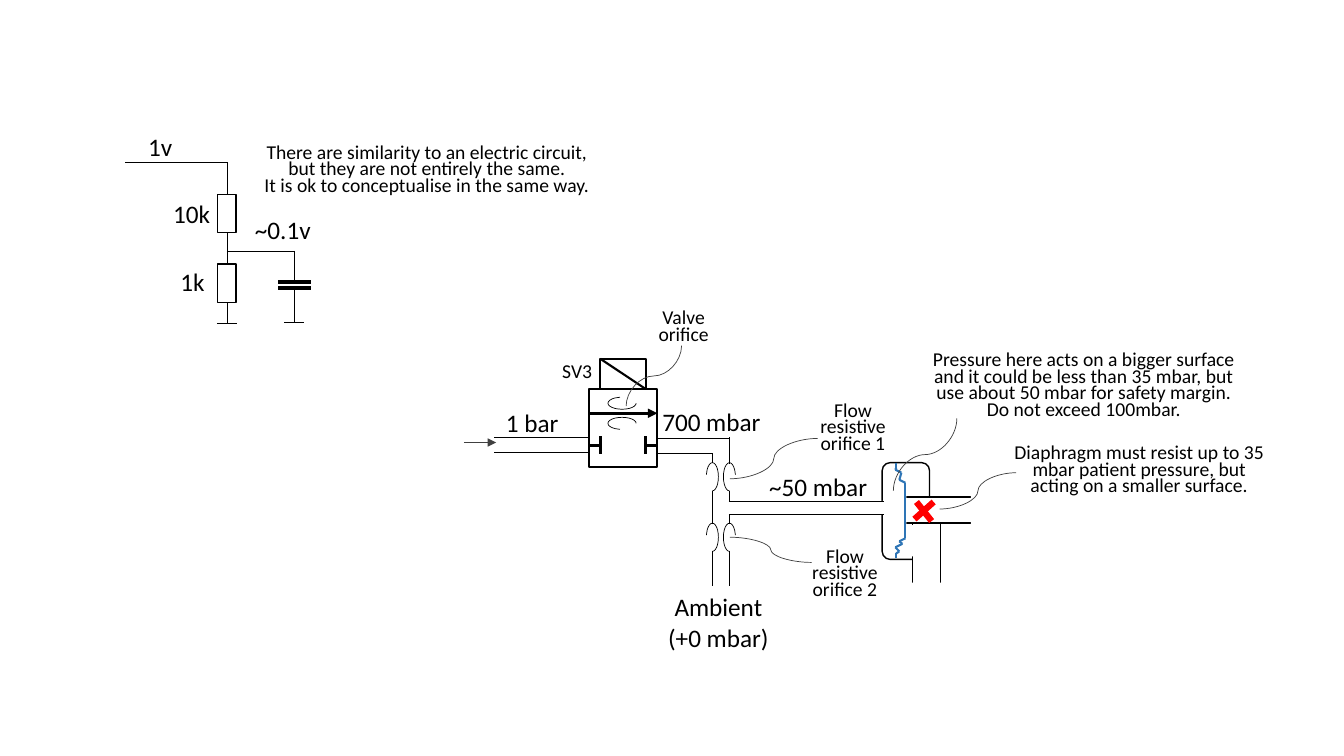
from itertools import pairwise

from lxml import etree
from pptx import Presentation
from pptx import util as u
from pptx.dml.color import RGBColor
from pptx.enum import shapes, text
from pptx.oxml.ns import qn

CELL = 0.1  # inches per grid column and row
BLACK, WHITE, GREY, BLUE, RED = "000000", "FFFFFF", "404040", "2E75B6", "FF0000"
THIN, OUTLINE, MEDIUM, HEAVY = 0.5, 1, 1.5, 2.25


def cells(count):
    """Convert grid cells to a length."""
    return u.Inches(round(count * CELL, 3))


def rgb(code):
    """Turn a hex string into a colour."""
    return RGBColor.from_string(code)


class Region:
    """Area of the slide whose contents are placed from its top left cell."""

    def __init__(self, slide, left, top):
        self.canvas = slide.shapes
        self.left, self.top = left, top

    def place(self, x, y):
        """Give the slide position of a point in the region."""
        return cells(self.left + x), cells(self.top + y)

    def line(self, start, end, width=THIN, color=BLACK, arrow=False,
             kind=shapes.MSO_CONNECTOR.STRAIGHT):
        """Draw a connector, optionally with an arrowhead at its end."""
        link = self.canvas.add_connector(kind, *self.place(*start), *self.place(*end))
        link.line.width = u.Pt(width)
        link.line.color.rgb = rgb(color)
        if arrow:
            etree.SubElement(link.line._get_or_add_ln(), qn("a:tailEnd"), type="triangle")
        etree.SubElement(link._element.spPr, qn("a:effectLst"))
        return link

    def lines(self, segments, width=THIN, color=BLACK):
        """Draw several separate straight lines in one style."""
        for start, end in segments:
            self.line(start, end, width, color)

    def leader(self, start, end, downward=False):
        """Draw a curved leader, leaving sideways or downward."""
        curve = shapes.MSO_CONNECTOR.CURVE
        if not downward:
            self.line(start, end, color=GREY, kind=curve)
            return
        (x1, y1), (x2, y2) = start, end
        mid_x, mid_y = (x1 + x2) / 2, (y1 + y2) / 2
        half_w, half_h = (y2 - y1) / 2, (x1 - x2) / 2
        link = self.line((mid_x - half_w, mid_y - half_h),
                         (mid_x + half_w, mid_y + half_h), color=GREY, kind=curve)
        link._element.spPr.xfrm.set("rot", "5400000")

    def block(self, x, y, width, height, border=None,
              kind=shapes.MSO_SHAPE.RECTANGLE):
        """Draw a white block; without a border it masks what lies behind."""
        block = self.canvas.add_shape(kind, *self.place(x, y), cells(width), cells(height))
        block.shadow.inherit = False
        block.fill.solid()
        block.fill.fore_color.rgb = rgb(WHITE)
        if border:
            block.line.width = u.Pt(border)
            block.line.color.rgb = rgb(BLACK)
        else:
            block.line.fill.background()

    def orifice(self, x, y, gap, upright=False):
        """Draw two arcs facing each other across a gap centred on x, y."""
        width, height = 2.8, 1.2
        for side in (-1, 1):
            shift_x, shift_y = (side * gap / 2, 0) if upright else (0, -side * gap / 2)
            arc = self.canvas.add_shape(
                shapes.MSO_SHAPE.ARC,
                *self.place(x + shift_x - width / 2, y + shift_y - height / 2),
                cells(width), cells(height))
            arc.adjustments[0], arc.adjustments[1] = 65.55, 0
            arc.rotation = 90 if upright else 0
            if side == 1:
                arc._element.spPr.xfrm.set("flipV", "1")
            arc.shadow.inherit = False
            arc.fill.background()
            arc.line.width = u.Pt(THIN)
            arc.line.color.rgb = rgb(BLACK)

    def label(self, x, y, width, height, *rows, center=False, note=False):
        """Write rows of text; a note is small, centred, tight and wrapped."""
        box = self.canvas.add_textbox(*self.place(x, y), cells(width), cells(height))
        frame = box.text_frame
        frame.word_wrap = note
        frame.auto_size = text.MSO_AUTO_SIZE.SHAPE_TO_FIT_TEXT
        frame.text = "\n".join(rows)
        for paragraph in frame.paragraphs:
            paragraph.font.name = "Calibri"
            paragraph.font.size = u.Pt(14 if note else 18)
            paragraph.font.color.rgb = rgb(BLACK)
            if note or center:
                paragraph.alignment = text.PP_ALIGN.CENTER
            if note:
                paragraph.line_spacing = 0.7


def draw_circuit(region):
    """Draw the voltage divider with its capacitor and remark."""
    divider, capacitor = 10.5, 17.2
    region.lines([((0.4, 4.1), (divider, 4.1)), ((divider, 4.1), (divider, 20.1)),
                  ((divider, 12.9), (capacitor, 12.9)),
                  ((capacitor, 12.9), (capacitor, 19.9))])
    for top in (7.3, 14.2):
        region.block(divider - 0.9, top, 1.8, 3.8, OUTLINE)
    for y, color in ((16.4, WHITE), (16, BLACK), (16.6, BLACK)):
        region.line((capacitor - 1.6, y), (capacitor + 1.6, y), 3, color)
    for x, y in ((divider, 20.1), (capacitor, 20)):
        region.line((x - 1, y), (x + 1, y), OUTLINE)
    region.label(1.7, 0.5, 4.4, 4, "1v")
    region.label(12.3, 8.8, 7.6, 4, "~0.1v")
    region.label(4.2, 7.2, 5.7, 4, "10k")
    region.label(4.9, 13.9, 4.4, 4, "1k")
    region.label(12.5, 2, 35.7, 6.1,
                 "There are similarity to an electric circuit, "
                 "but they are not entirely the same.",
                 "It is ok to conceptualise in the same way.", note=True)


def draw_valve(region):
    """Draw the solenoid valve with its open and closed positions."""
    width = 6.8
    region.block(0, 3, width, 7.7, MEDIUM)
    region.block(1.15, 0, 4.5, 3, MEDIUM)
    region.line((1.15, 0), (5.65, 3), MEDIUM)
    region.line((0, 5.4), (width, 5.4), HEAVY, arrow=True)
    for wall, stop in ((0, 1.2), (width, width - 1.2)):
        region.lines([((wall, 8.6), (stop, 8.6)), ((stop, 7.7), (stop, 9.4))], HEAVY)
    region.orifice(3.3, 5.4, 2)
    region.label(-4, 0.1, 5.7, 2.8, "SV3", note=True)


def draw_pipes(region):
    """Draw the inlet, the vertical pipe with two orifices and the branch."""
    left, right = 24.7, 26.3
    region.line((0, 0.9), (3.2, 0.9), color=GREY, arrow=True)
    region.lines([((x1, y), (x2, y)) for x1, x2, y in (
        (3, 12.4, 0.4), (3, 12.4, 1.9), (19.2, right, 0.45), (19.2, left, 2),
        (right, 41.7, 6.7), (right, 41.7, 8))])
    region.lines([((x, y1), (x, y2)) for x, y1, y2 in (
        (left, 2, 2.9), (right, 0.4, 3), (left, 5.7, 9), (right, 5.7, 6.7),
        (right, 8, 9), (left, 11.7, 15.1), (right, 11.7, 15.1))])
    for y in (4.3, 10.3):
        region.orifice((left + right) / 2, y, 1.7, upright=True)
    region.label(3.2, -3.1, 7.3, 4, "1 bar")
    region.label(18.7, -3.2, 11.9, 4, "700 mbar")
    region.label(29.3, 3.3, 11.9, 4, "~50 mbar")
    region.label(19.2, 15.2, 12.1, 7.1, "Ambient", "(+0 mbar)", center=True)


def draw_chamber(region):
    """Draw the diaphragm chamber, its outlets, membrane and blocking cross."""
    region.block(0.5, 0, 4.7, 9.6, OUTLINE, shapes.MSO_SHAPE.ROUNDED_RECTANGLE)
    region.block(2.6, 3.4, 7.1, 2.6, OUTLINE)
    for mask in ((0.7, 3.1, 2.2, 3.4), (0.2, 3.8, 0.7, 1.3), (9.3, 2.9, 0.6, 3.5)):
        region.block(*mask)
    region.block(3.5, 6, 2.8, 6.4, OUTLINE)
    for mask in ((2.9, 6.2, 2.2, 3.1), (2.7, 11.9, 4.2, 0.8)):
        region.block(*mask)
    membrane = [(1.9, 0), (1.9, 0.5), (1.8, 0.7), (2.4, 1), (2.2, 1.7), (2.8, 2),
                (2.8, 7.5), (2.2, 7.8), (2.5, 8.05), (1.8, 8.4), (2.2, 8.8),
                (1.9, 9), (1.9, 9.5)]
    region.lines(pairwise(membrane), MEDIUM, BLUE)
    region.lines([((3.9, 3.9), (5.4, 5.8)), ((5.6, 3.9), (3.7, 5.6))], 4.5, RED)


def draw_callouts(region):
    """Write the remarks and lead each one to what it explains."""
    callouts = [
        ((0, 0, 10.2, 4.4), ["Valve", "orifice"], (4.9, 3.9), (-0.6, 9.9), True),
        ((16.8, 9.2, 10.2, 6.1), ["Flow resistive", "orifice 1"],
         (18.4, 13.1), (9.7, 17.1), False),
        ((16, 23.7, 10.2, 6.1), ["Flow resistive", "orifice 2"],
         (17.8, 25.4), (9.7, 22.9), False),
        ((36.8, 13.4, 27, 6.1),
         ["Diaphragm must resist up to 35 mbar patient pressure, "
          "but acting on a smaller surface."], (38.1, 16.5), (30.5, 20.1), False),
        ((28.3, 4.2, 33, 7.7),
         ["Pressure here acts on a bigger surface and it could be less than 35 mbar, "
          "but use about 50 mbar for safety margin. Do not exceed 100mbar."],
         (32.2, 11.1), (25.9, 18.3), True)]
    for box, remark, start, end, downward in callouts:
        region.label(*box, *remark, note=True)
        region.leader(start, end, downward)


def main():
    """Build the slide and save it."""
    deck = Presentation()
    deck.slide_width, deck.slide_height = u.Inches(13.33), u.Inches(7.5)
    slide = deck.slides.add_slide(deck.slide_layouts[6])
    for draw, left, top in ((draw_circuit, 12, 12), (draw_valve, 58.4, 35.6),
                            (draw_chamber, 87, 45.9), (draw_pipes, 46, 43),
                            (draw_callouts, 62.7, 30.4)):
        draw(Region(slide, left, top))
    deck.save("out.pptx")


main()
